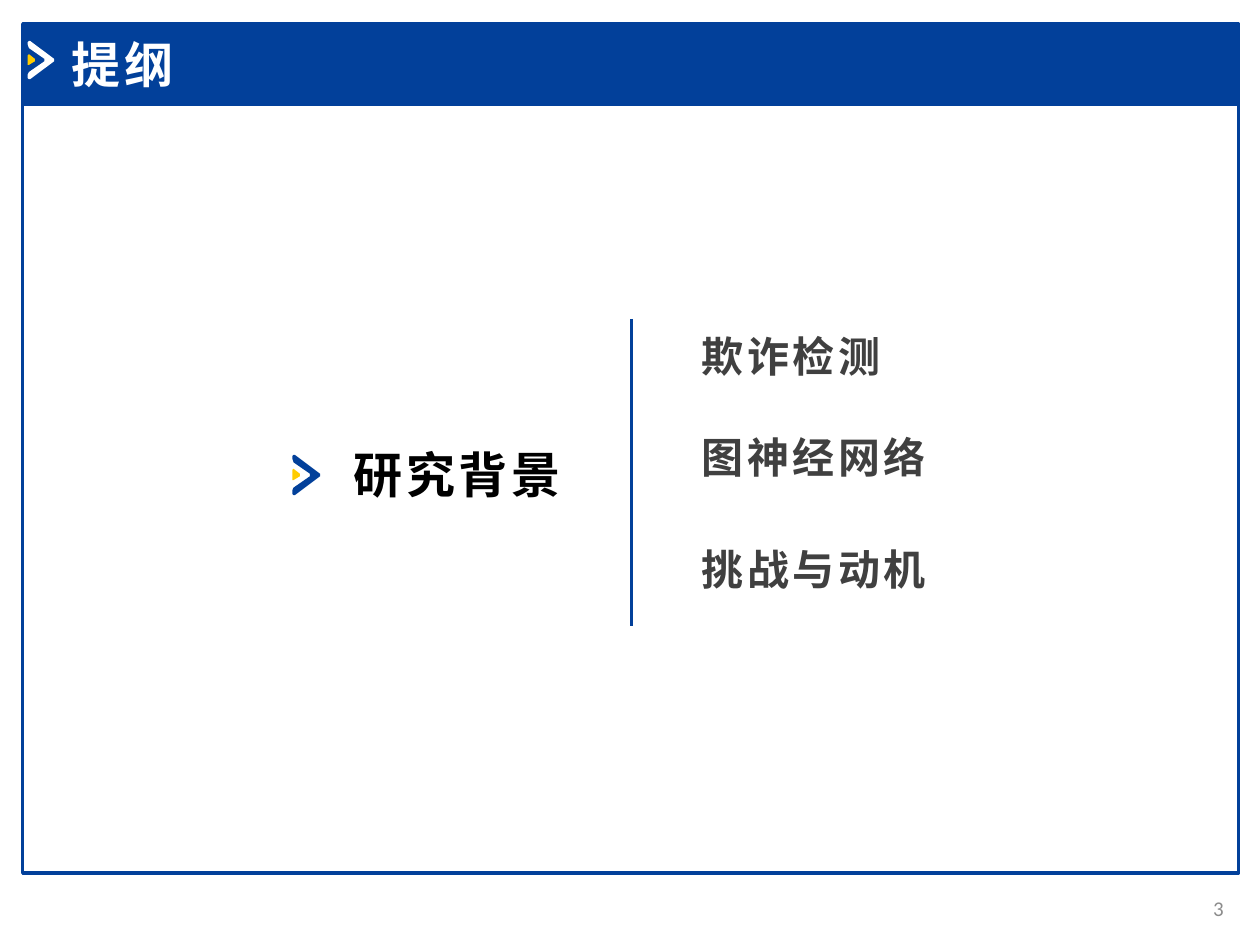
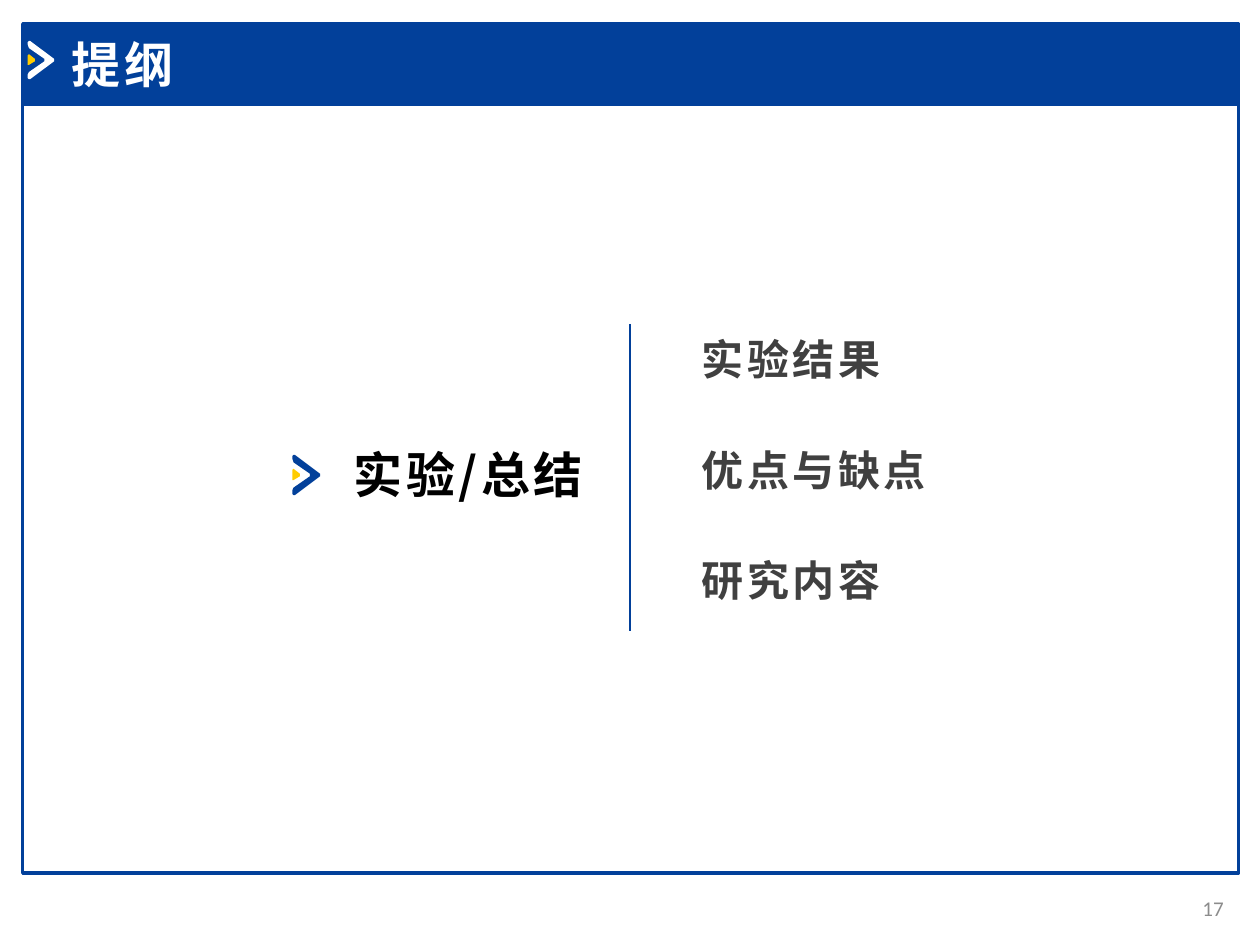
"""Build two outline slides that share a blue title band, a frame and chevron marks."""
from lxml.etree import SubElement
from pptx import Presentation
from pptx.dml.color import RGBColor
from pptx.enum.shapes import MSO_CONNECTOR, MSO_SHAPE
from pptx.enum.text import MSO_ANCHOR, MSO_AUTO_SIZE, PP_ALIGN
from pptx.oxml.ns import qn
from pptx.util import Inches, Pt

BLUE = RGBColor(0x02, 0x40, 0x9A)
YELLOW = RGBColor(0xFF, 0xCC, 0x00)
WHITE = RGBColor(0xFF, 0xFF, 0xFF)
BLACK = RGBColor(0x00, 0x00, 0x00)
DARK = RGBColor(0x40, 0x40, 0x40)
GREY = RGBColor(0x8C, 0x8C, 0x8C)
LATIN, CJK = "Calibri", "Noto Sans CJK SC"

CHEVRON = [(0, 1), (1, 0), (2, 0), (22, 15), (22, 17), (2, 32), (1, 32), (0, 31),
           (0, 28), (1, 26), (14, 17), (14, 15), (1, 6), (0, 3)]
DOT = [(0, 12), (1, 11), (6.5, 15), (6.5, 17), (1, 20), (0, 20)]

LINE_HEIGHT = 34.75
OUTLINES = [
    dict(number="3", topic="研究背景", items=["欺诈检测", "图神经网络", "挑战与动机"],
         top=25.7, pitches=[0, 8.9, 9.7], rule_x=50.1, rule_top=25.3),
    dict(number="17", topic="实验/总结", items=["实验结果", "优点与缺点", "研究内容"],
         top=26, pitches=[0, 9.6, 9.6], rule_x=50, rule_top=25.7),
]

prs = Presentation()
prs.slide_width, prs.slide_height = Inches(10), Inches(7.5)
COL, ROW = prs.slide_width // 100, prs.slide_height // 75


def place(sp, x, y, w, h):
    """Set a shape's box in grid columns and rows."""
    sp.left, sp.top = int(x * COL), int(y * ROW)
    sp.width, sp.height = int(w * COL), int(h * ROW)
    tf = sp.text_frame
    tf.word_wrap, tf.auto_size = True, MSO_AUTO_SIZE.NONE
    tf.vertical_anchor = MSO_ANCHOR.TOP
    return tf


def style(p, size, color, name=CJK, bold=True):
    """Format a paragraph's run; bold text is letter-spaced."""
    r = p.runs[0]
    r.font.size, r.font.bold, r.font.name = Pt(size), bold, name
    r.font.color.rgb = color
    rPr = r.font._element
    SubElement(rPr, qn("a:ea")).set("typeface", CJK)
    if bold:
        rPr.set("spc", "200")


for outline in OUTLINES:
    s = prs.slides.add_slide(prs.slide_layouts[1])

    for y, h, filled in [(8.3, 61, False), (1.9, 6.4, True)]:
        sp = s.shapes.add_shape(MSO_SHAPE.RECTANGLE, 0, 0, COL, ROW)
        place(sp, 1.8, y, 96.5, h)
        sp.shadow.inherit = False
        sp.line.color.rgb, sp.line.width = BLUE, Pt(2)
        if filled:
            sp.fill.solid()
            sp.fill.fore_color.rgb = BLUE
        else:
            sp.fill.background()

    for x, y, scale, color in [(2.2, 3.25, 0.95, WHITE), (23.2, 36.1, 1, BLUE)]:
        for points, fill in [(CHEVRON, color), (DOT, YELLOW)]:
            builder = s.shapes.build_freeform(*points[0], scale=COL * scale / 10)
            builder.add_line_segments(points[1:], close=True)
            sp = builder.convert_to_shape(int(x * COL), int(y * ROW))
            sp.shadow.inherit = False
            sp.fill.solid()
            sp.fill.fore_color.rgb = fill
            sp.line.fill.background()

    title = s.shapes.title
    s.shapes._spTree.append(title._element)
    tf = place(title, 4.7, 2.2, 35.6, 5.7)
    tf.text = "提纲"
    tf.paragraphs[0].alignment = PP_ALIGN.LEFT
    style(tf.paragraphs[0], 28, WHITE, LATIN)

    tf = place(s.shapes.add_textbox(0, 0, COL, ROW), 27.1, 34.8, 23.6, 5.7)
    tf.text = outline["topic"]
    style(tf.paragraphs[0], 28, BLACK)

    tf = place(s.placeholders[1], 54.7, outline["top"], 30.3, 24.4)
    tf.text = "\n".join(outline["items"])
    for p, pitch in zip(tf.paragraphs, outline["pitches"]):
        pPr = p._p.get_or_add_pPr()
        pPr.set("marL", "0")
        pPr.set("indent", "0")
        SubElement(pPr, qn("a:buNone"))
        p.line_spacing = 1.0
        p.space_before = Pt(max(0, pitch * ROW / Pt(1) - LINE_HEIGHT))
        style(p, 24, DARK)

    x, y = int(outline["rule_x"] * COL), int(outline["rule_top"] * ROW)
    rule = s.shapes.add_connector(MSO_CONNECTOR.STRAIGHT, x, y, x, y + int(24.4 * ROW))
    rule.line.color.rgb, rule.line.width = BLUE, Pt(1.5)
    SubElement(rule._element.spPr, qn("a:effectLst"))

    tf = place(s.shapes.add_textbox(0, 0, COL, ROW), 92.2, 70.1, 5.9, 4)
    tf.vertical_anchor = MSO_ANCHOR.MIDDLE
    tf.text = outline["number"]
    tf.paragraphs[0].alignment = PP_ALIGN.RIGHT
    style(tf.paragraphs[0], 12, GREY, LATIN, bold=False)

prs.save("out.pptx")
